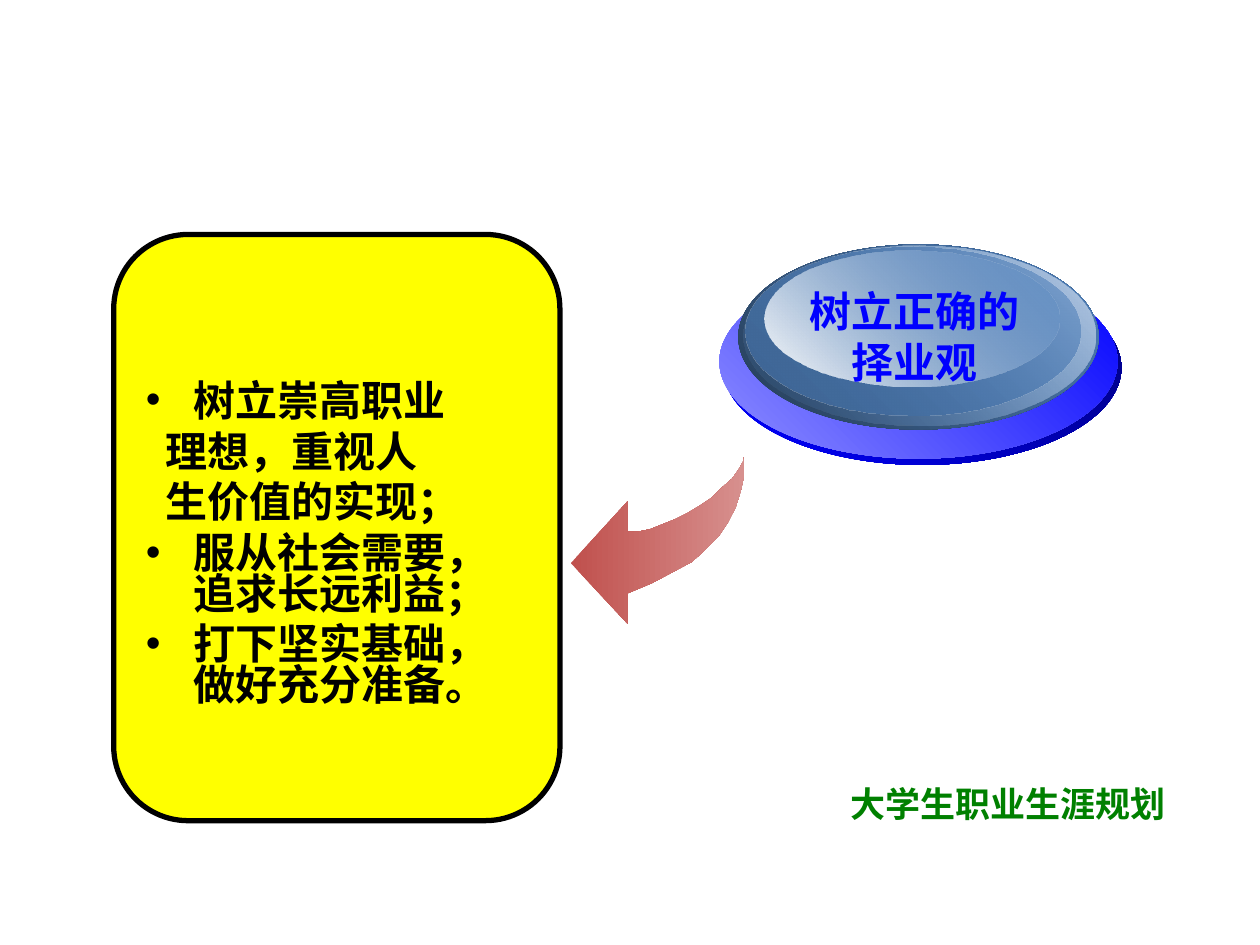
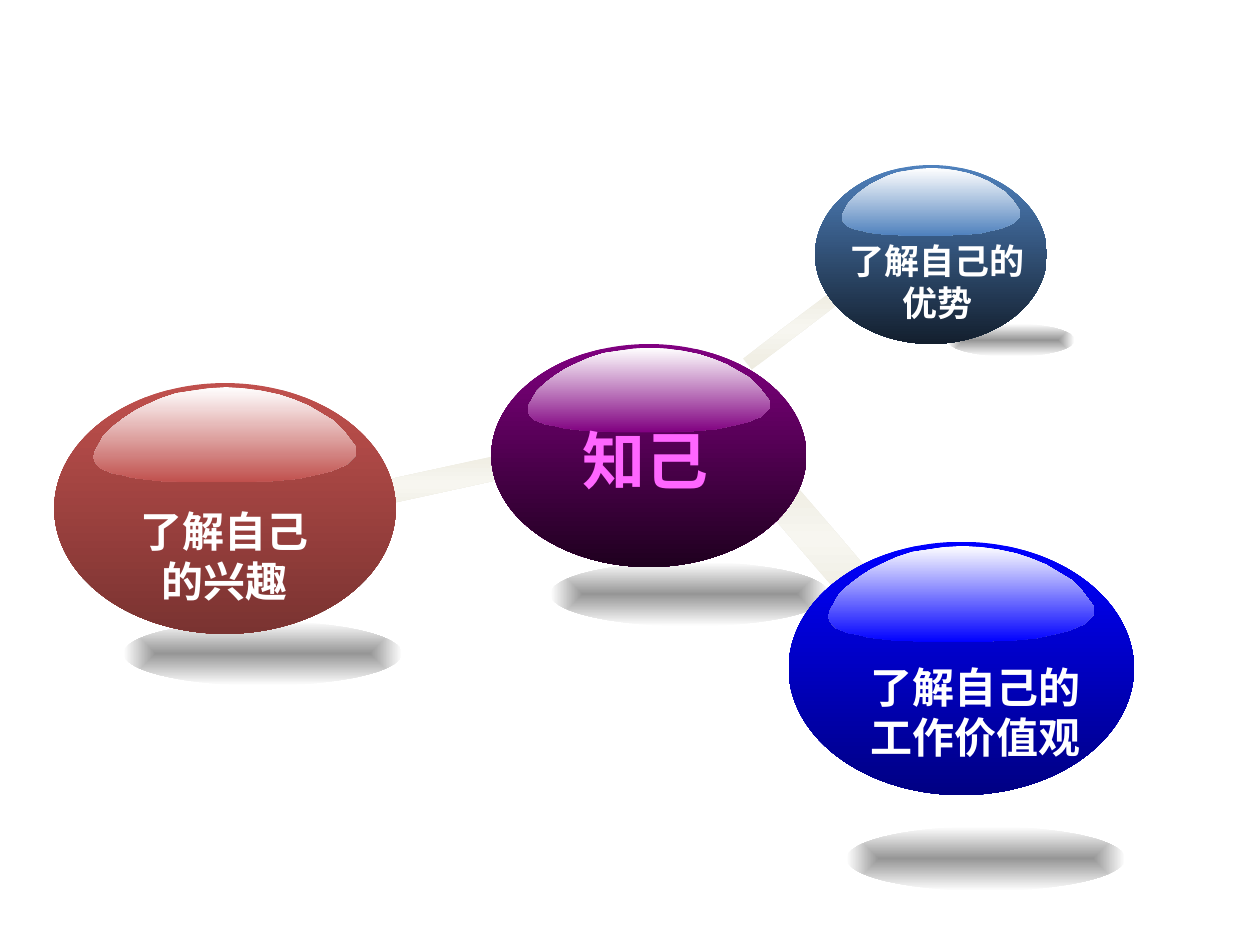
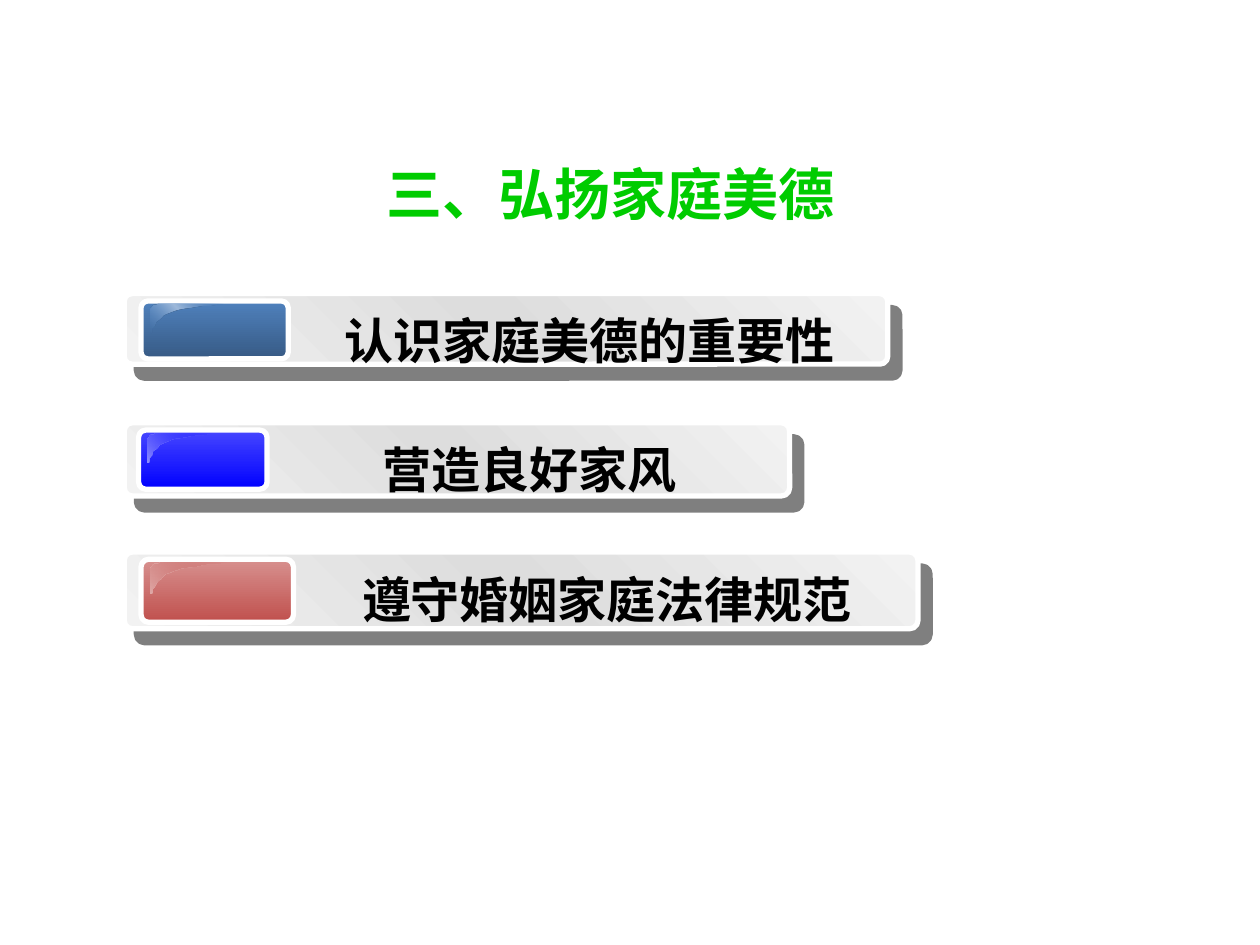
from lxml import etree
from pptx import Presentation
from pptx import util as u
from pptx.dml.color import RGBColor
from pptx.enum import shapes, text
from pptx.oxml import ns

Pt = u.Pt
WHITE = RGBColor(0xFF, 0xFF, 0xFF)
BLACK = RGBColor(0x00, 0x00, 0x00)
YELLOW = RGBColor(0xFF, 0xFF, 0x00)
STEEL = RGBColor(0x4F, 0x81, 0xBD)
STEEL_DEEP = RGBColor(0x25, 0x3C, 0x57)
STEEL_DARK = RGBColor(0x3F, 0x66, 0x96)
STEEL_SHADE = RGBColor(0x37, 0x5A, 0x84)
STEEL_PALE = RGBColor(0xC2, 0xD3, 0xE8)
STEEL_LIGHT = RGBColor(0x9F, 0xBA, 0xDB)
STEEL_NIGHT = RGBColor(0x13, 0x1F, 0x2E)
BLUE = RGBColor(0x00, 0x00, 0xFF)
BLUE_DARK = RGBColor(0x00, 0x00, 0x7C)
BLUE_DEEP = RGBColor(0x00, 0x00, 0x83)
BLUE_SOFT = RGBColor(0x46, 0x46, 0xFF)
BLUE_LIGHT = RGBColor(0x8E, 0x8E, 0xFF)
BLUE_PALE = RGBColor(0x93, 0x93, 0xFF)
RED = RGBColor(0xC0, 0x50, 0x4D)
RED_LIGHT = RGBColor(0xD7, 0x90, 0x8E)
RED_PALE = RGBColor(0xE0, 0xAA, 0xA8)
RED_DARK = RGBColor(0x7A, 0x33, 0x31)
PURPLE = RGBColor(0x80, 0x00, 0x80)
PURPLE_DARK = RGBColor(0x1F, 0x00, 0x1F)
PINK = RGBColor(0xFF, 0x66, 0xFF)
GREEN = RGBColor(0x00, 0x80, 0x00)
GREEN_BRIGHT = RGBColor(0x00, 0xCC, 0x00)
GREY = RGBColor(0x96, 0x96, 0x96)
GREY_MID = RGBColor(0xDD, 0xDD, 0xDD)
GREY_LIGHT = RGBColor(0xF2, 0xF2, 0xF2)
CREAM = RGBColor(0xEE, 0xEC, 0xE1)
CREAM_LIGHT = RGBColor(0xF7, 0xF6, 0xF0)
CENTER = text.PP_ALIGN.CENTER
LEFT = text.PP_ALIGN.LEFT
OVAL = shapes.MSO_SHAPE.OVAL
ROUNDED = shapes.MSO_SHAPE.ROUNDED_RECTANGLE


def shade(shape, stops, angle=None):
    shape.shadow.inherit = False
    shape.line.fill.background()
    shape.fill.gradient()
    gradient = shape._element.spPr.find(ns.qn("a:gradFill"))
    for child in list(gradient):
        gradient.remove(child)
    gradient.set("rotWithShape", "1")
    stop_list = etree.SubElement(gradient, ns.qn("a:gsLst"))
    for index, (color, opacity) in enumerate(stops):
        position = 100000 * index // (len(stops) - 1)
        stop = etree.SubElement(stop_list, ns.qn("a:gs"), pos=str(position))
        tint = etree.SubElement(stop, ns.qn("a:srgbClr"), val=str(color))
        if opacity < 100:
            etree.SubElement(tint, ns.qn("a:alpha"), val=str(opacity * 1000))
    if angle is None:
        rings = etree.SubElement(gradient, ns.qn("a:path"), path="rect")
        etree.SubElement(rings, ns.qn("a:fillToRect"), {side: "50000" for side in "ltrb"})
    else:
        etree.SubElement(gradient, ns.qn("a:lin"), ang=str(round(angle * 60000)), scaled="0")


def write(slide, box, lines, color, size, align=CENTER, face="Arial"):
    frame = slide.shapes.add_textbox(*map(Pt, box)).text_frame
    frame.word_wrap = True
    for index, line in enumerate(lines):
        paragraph = frame.paragraphs[0] if index == 0 else frame.add_paragraph()
        paragraph.alignment = align
        run = paragraph.add_run()
        run.text = line
        for key, value in {"name": face, "size": Pt(size), "bold": True}.items():
            setattr(run.font, key, value)
        run.font.color.rgb = color
    return frame


prs = Presentation()
prs.slide_width, prs.slide_height = Pt(720), Pt(540)
outlook, self_knowledge, family = [prs.slides.add_slide(prs.slide_layouts[6]) for _ in range(3)]

panel = outlook.shapes.add_shape(ROUNDED, Pt(65), Pt(134), Pt(255), Pt(335))
panel.shadow.inherit = False
panel.fill.solid()
panel.fill.fore_color.rgb = YELLOW
panel.line.color.rgb = BLACK
panel.line.width = Pt(3)

ARROW = [
    (138, 0), (138, 16), (135, 30), (131, 43), (125, 55), (117, 67), (107, 77),
    (96, 87), (81, 95), (64, 104), (45, 112), (45, 136), (0, 88), (45, 39),
    (45, 63), (53, 63), (63, 61), (73, 57), (83, 53), (93, 48), (103, 42),
    (112, 36), (120, 28), (128, 21), (133, 14), (137, 7),
]
arrow = outlook.shapes.build_freeform(*ARROW[0], scale=Pt(0.72))
arrow.add_line_segments(ARROW[1:])
shade(arrow.convert_to_shape(Pt(326.2), Pt(258.5)), [(RED, 100), (RED_LIGHT, 100)], 0)

for box, stops in [
    ((413.3, 154.8, 227.5, 110.9), [(BLUE, 100), (BLUE_DARK, 100)]),
    ((411.1, 151.2, 227.5, 110.9), [(BLUE_LIGHT, 100), (BLUE, 100)]),
    ((421.9, 139.7, 205.9, 105.8), [(STEEL_DEEP, 100), (STEEL, 100)]),
    ((424.8, 140.4, 200.9, 103), [(STEEL, 0), (STEEL_PALE, 100)]),
    ((426.2, 141.1, 191.5, 96.5), [(STEEL_DARK, 100), (STEEL, 48)]),
    ((437, 143.3, 168.5, 77.8), [(WHITE, 100), (STEEL, 38)]),
]:
    shade(outlook.shapes.add_shape(OVAL, *map(Pt, box)), stops, 315)
write(outlook, (445, 159.8, 155.5, 64.8), ["树立正确的", "择业观"], BLUE, 24)

advice = [
    ("树立崇高职业", True),
    ("理想，重视人", False),
    ("生价值的实现；", False),
    ("服从社会需要，追求长远利益；", True),
    ("打下坚实基础，做好充分准备。", True),
]
advice_frame = write(outlook, (76.3, 215.9, 226.8, 264), [line for line, _ in advice],
                     BLACK, 24, LEFT, face="Noto Sans CJK SC")
for index, (paragraph, (_, bulleted)) in enumerate(zip(advice_frame.paragraphs, advice)):
    paragraph.line_spacing = 0.8
    paragraph.space_before = Pt(6 if index else 0)
    properties = paragraph._p.get_or_add_pPr()
    properties.set("marL", str(Pt(27 if bulleted else 11.2)))
    properties.set("indent", str(Pt(-27 if bulleted else 0)))
    if bulleted:
        etree.SubElement(properties, ns.qn("a:buFont"), typeface="Arial")
        etree.SubElement(properties, ns.qn("a:buChar"), char="•")
write(outlook, (478.8, 443.8, 202, 31.7), ["大学生职业生涯规划"], GREEN, 20, LEFT)

for box in [
    (541.4, 185, 72.7, 18.7),
    (314.6, 321.1, 159.1, 36.7),
    (70.6, 355, 159.1, 36.7),
    (483.8, 472.3, 159.1, 36.7),
]:
    shade(self_knowledge.shapes.add_shape(OVAL, *map(Pt, box)), [(GREY, 100), (WHITE, 100)])

for box, turn in [
    ((428.4, 297.4, 77, 21.6), 229.5),
    ((184.3, 270, 113, 13.7), 347.6),
    ((420.5, 184.3, 65.5, 7.9), 322.7),
]:
    link = self_knowledge.shapes.add_shape(shapes.MSO_SHAPE.RECTANGLE, *map(Pt, box))
    link.rotation = turn
    shade(link, [(CREAM, 100), (CREAM_LIGHT, 100), (CREAM, 100)], (90 - turn) % 360)

GLOSS = [
    (206, 43), (209, 47), (210, 51), (209, 55), (206, 58), (202, 62), (197, 64),
    (190, 67), (182, 69), (173, 71), (164, 73), (153, 74), (142, 75), (131, 75),
    (126, 76), (76, 76), (65, 75), (55, 75), (46, 74), (37, 73), (30, 72),
    (23, 70), (16, 69), (11, 67), (6, 65), (3, 62), (1, 59), (0, 56), (1, 52),
    (3, 48), (8, 39), (15, 32), (24, 25), (33, 19), (43, 14), (54, 9), (66, 5),
    (79, 3), (92, 1), (106, 0), (120, 1), (134, 3), (148, 6), (160, 10),
    (172, 15), (182, 21), (192, 27), (200, 35),
]
for ball, top_color, bottom_color, label_box, label, color, size, face in [
    ((280.8, 196.6, 180, 127.4), PURPLE, PURPLE_DARK,
     (320.6, 237.6, 96, 50.4), ["知己"], PINK, 36, "Arial"),
    ((465.8, 94.3, 132.5, 102.2), STEEL, STEEL_NIGHT,
     (462.2, 133.2, 146.9, 55.4), ["了解自己的", "优势"], WHITE, 20, "DejaVu Sans"),
    ((31, 218.9, 195.1, 143.3), RED, RED_DARK,
     (68.2, 285.1, 120, 64.8), ["了解自己", "的兴趣"], WHITE, 24, "Arial"),
    ((450.7, 309.6, 197.3, 144.7), BLUE, BLUE_DEEP,
     (485.3, 374.4, 144, 64.8), ["了解自己的", "工作价值观"], WHITE, 24, "Arial"),
]:
    left, top, width, height = ball
    shade(self_knowledge.shapes.add_shape(OVAL, *map(Pt, ball)),
          [(top_color, 100), (bottom_color, 100)], 90)
    gloss = self_knowledge.shapes.build_freeform(
        *GLOSS[0], scale=(Pt(width * 0.77) / 210, Pt(height * 0.38) / 76))
    gloss.add_line_segments(GLOSS[1:])
    shade(gloss.convert_to_shape(Pt(left + width * 0.115), Pt(top + height * 0.016)),
          [(WHITE, 100), (top_color, 100)], 90)
    write(self_knowledge, label_box, label, color, size, face=face)

title = write(family, (59.8, 65.5, 578.2, 90), ["三、弘扬家庭美德"], GREEN_BRIGHT, 32)
title.vertical_anchor = text.MSO_ANCHOR.MIDDLE

GLINT_CURVES = [
    [(12, 0), (5, 0), (0, 2), (0, 5)],
    [(0, 23), (3, 23), (1, 12), (16, 7)],
    [(16, 7), (30, 2), (58, 2), (58, 0)],
]
GLINT = []
for curve in GLINT_CURVES:
    for step in range(9):
        t = step / 8
        weights = [(1 - t) ** 3, 3 * t * (1 - t) ** 2, 3 * t ** 2 * (1 - t), t ** 3]
        GLINT.append([sum(w * point[axis] for w, point in zip(weights, curve)) for axis in (0, 1)])

topics = [
    ("认识家庭美德的重要性", 436.3, 40.3, (80.6, 84.2, 33.1), (176.4, 321.1),
     [(STEEL, 100), (STEEL_SHADE, 100)], [(STEEL, 0), (STEEL_LIGHT, 100), (STEEL, 0)]),
    ("营造良好家风", 380.2, 41.8, (79.2, 73.4, 33.8), (162.7, 279.4),
     [(BLUE_SOFT, 100), (BLUE, 100)], [(BLUE_PALE, 100), (BLUE, 0)]),
    ("遵守婚姻家庭法律规范", 453.6, 43.9, (80.6, 87.1, 36), (180, 333.4),
     [(RED_LIGHT, 100), (RED, 100)], [(RED_PALE, 100), (RED, 0)]),
]
for index, (topic, width, height, chip, label, chip_stops, glint_stops) in enumerate(topics):
    top = 167.8 + 73.8 * index
    chip_left, chip_width, chip_height = chip
    label_left, label_width = label
    for box, corner, stops, angle in [
        ((71, top, width, height), 0.11,
         [(GREY_LIGHT, 100), (GREY_MID, 100), (GREY_LIGHT, 100)], 315),
        ((chip_left, top + 4.2, chip_width, chip_height), 0.12, chip_stops, 90),
    ]:
        plate = family.shapes.add_shape(ROUNDED, *map(Pt, box))
        plate.adjustments[0] = corner
        shade(plate, stops, angle)
        plate.line.color.rgb = WHITE
        plate.line.width = Pt(3)
        if corner == 0.11:
            effects = plate._element.spPr.find(ns.qn("a:effectLst"))
            shadow = etree.SubElement(effects, ns.qn("a:outerShdw"), blurRad="0",
                                      dist=str(Pt(10.6)), dir=str(49 * 60000),
                                      algn="ctr", rotWithShape="0")
            shadow_color = etree.SubElement(shadow, ns.qn("a:srgbClr"), val=str(BLACK))
            etree.SubElement(shadow_color, ns.qn("a:alpha"), val="50000")
    glint = family.shapes.build_freeform(
        *GLINT[0], scale=(Pt(chip_width / 2) / 58, Pt(chip_height / 2) / 23))
    glint.add_line_segments(GLINT[1:])
    shade(glint.convert_to_shape(Pt(chip_left + 5.2), Pt(top + 6)), glint_stops, 315)
    write(family, (label_left, top + 6.3, label_width, 41), [topic], BLACK, 28)

prs.save("out.pptx")
